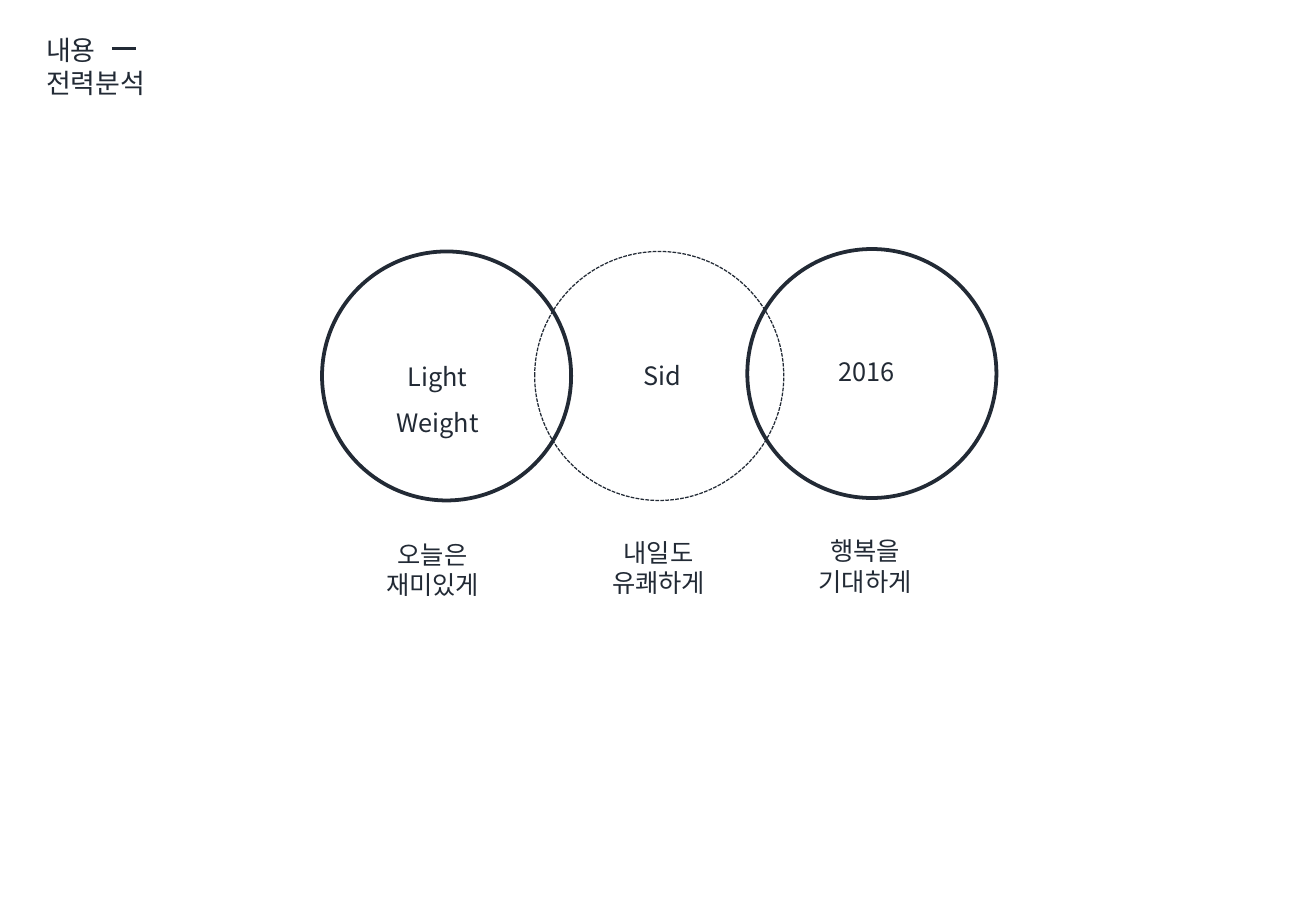
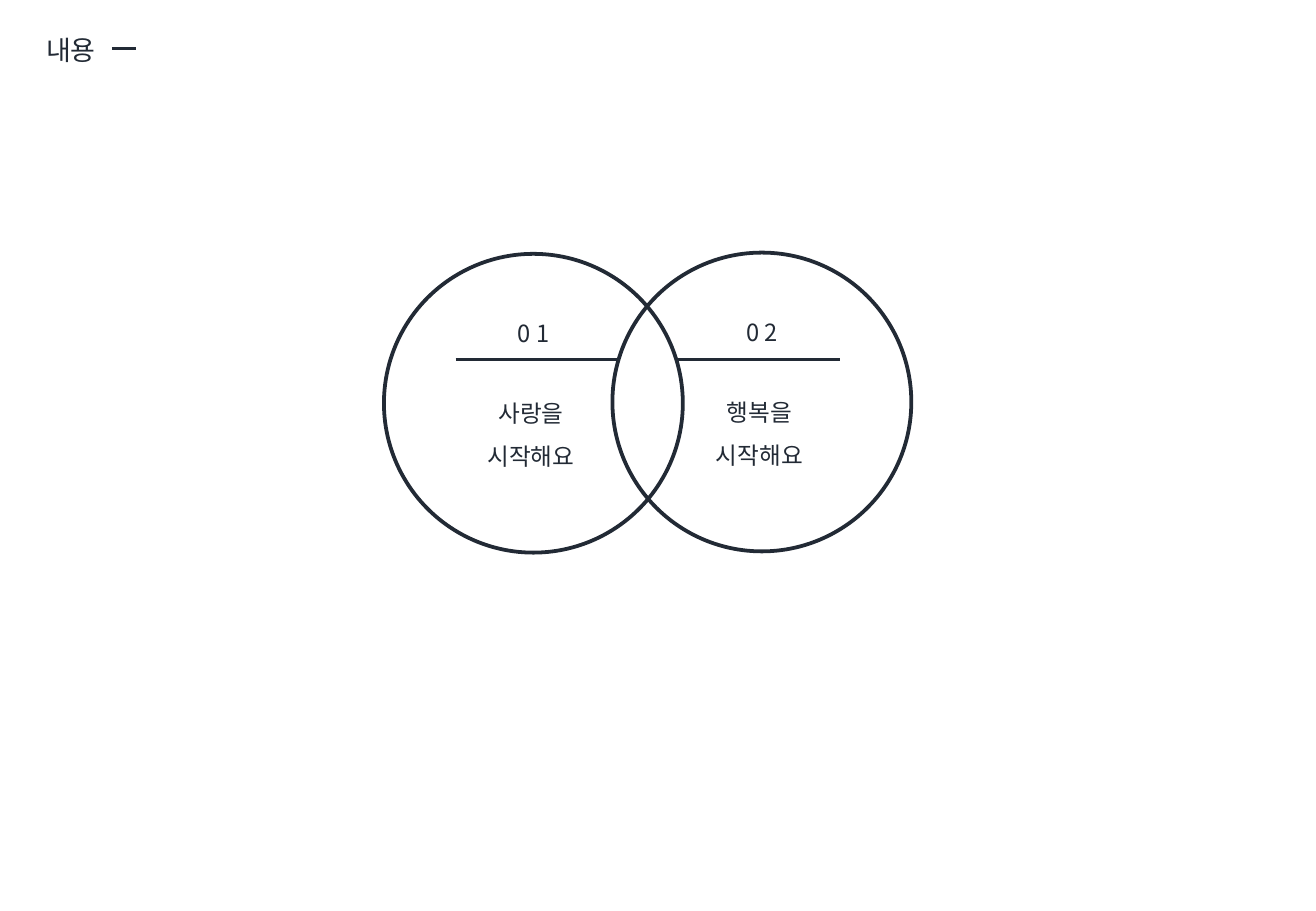
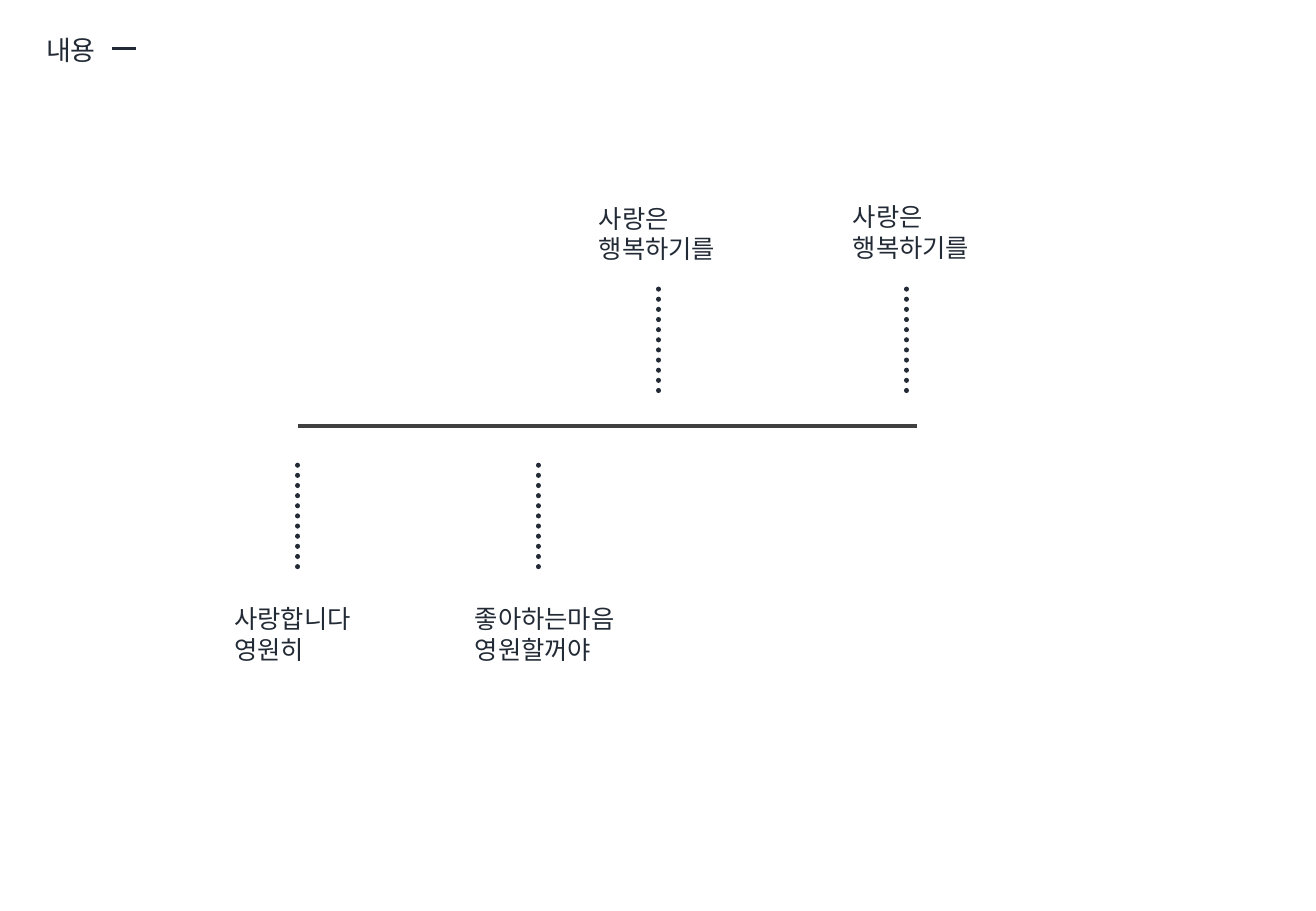
"""Build three diagram slides: linked circles, a two-part overlap and a timeline."""
import dataclasses

import pptx
import pptx.dml.color
import pptx.enum.dml
import pptx.enum.shapes
import pptx.enum.text
import pptx.oxml.ns
import pptx.util
from pptx.util import Inches

ALIGN = pptx.enum.text.PP_ALIGN
DASH = pptx.enum.dml.MSO_LINE
qn = pptx.oxml.ns.qn


@dataclasses.dataclass(frozen=True)
class Theme:
    ink: str = "222A35"
    axis: str = "404040"
    font: str = "Noto Sans CJK KR"
    title: int = 16
    body: int = 15
    step: int = 14
    thin: float = 0.75
    rule: float = 1.5
    bold: float = 2.25
    dots: float = 3


THEME = Theme()

LINKED = {
    "title": ["내용", "전력분석"],
    "circles": [
        {"top": 2.07, "width": THEME.bold, "dash": None},
        {"top": 2.07, "width": THEME.thin, "dash": DASH.SQUARE_DOT},
        {"top": 2.05, "width": THEME.bold, "dash": None},
    ],
    "labels": [
        (["Light", "Weight"], 2.76, 2.8, 0.86),
        (["Sid"], 4.61, 2.79, 0.42),
        (["2016"], 6.29, 2.76, 0.48),
    ],
    "captions": [
        (["오늘은", "재미있게"], 2.72, 4.39),
        (["내일도", "유쾌하게"], 4.58, 4.37),
        (["행복을", "기대하게"], 6.28, 4.36),
    ],
}
OVERLAP = {
    "title": ["내용"],
    "steps": [
        ("0 1", ["사랑을", "시작해요"], 3.75),
        ("0 2", ["행복을", "시작해요"], 5.58),
    ],
}
TIMELINE = {
    "title": ["내용"],
    "events": [
        (["사랑합니다", "영원히"], 2.45, 3.83, 1.83, 4.92),
        (["좋아하는마음", "영원할꺼야"], 4.43, 3.83, 3.81, 4.92),
        (["사랑은", "행복하기를"], 5.42, 2.38, 4.83, 1.62),
        (["사랑은", "행복하기를"], 7.46, 2.38, 6.92, 1.61),
    ],
}


def write(frame, lines, *, size=THEME.body, align=ALIGN.LEFT, spacing=1.0):
    frame.word_wrap = True
    frame.auto_size = pptx.enum.text.MSO_AUTO_SIZE.NONE
    frame.vertical_anchor = pptx.enum.text.MSO_ANCHOR.TOP
    for index, line in enumerate(lines):
        paragraph = frame.add_paragraph() if index else frame.paragraphs[0]
        paragraph.alignment = align
        paragraph.line_spacing = spacing
        run = paragraph.add_run()
        run.text = line
        run.font.size = pptx.util.Pt(size)
        run.font.name = THEME.font
        run.font.color.rgb = pptx.dml.color.RGBColor.from_string(THEME.ink)
        east_asian = run.font._element.makeelement(qn("a:ea"), {"typeface": THEME.font})
        run.font._element.find(qn("a:latin")).addnext(east_asian)


def add_text(slide, lines, left, top, width, height, **style):
    box = slide.shapes.add_textbox(*map(Inches, (left, top, width, height)))
    write(box.text_frame, lines, **style)


def stroke(line, width, dash=None, color=THEME.ink):
    line.color.rgb = pptx.dml.color.RGBColor.from_string(color)
    line.width = pptx.util.Pt(width)
    if dash is not None:
        line.dash_style = dash


def add_line(slide, start, end, width, *, dash=None, color=THEME.ink):
    straight = pptx.enum.shapes.MSO_CONNECTOR.STRAIGHT
    connector = slide.shapes.add_connector(straight, *map(Inches, (*start, *end)))
    stroke(connector.line, width, dash, color)
    properties = connector._element.spPr
    if dash == DASH.ROUND_DOT:
        properties.find(qn("a:ln")).set("cap", "rnd")
    properties.append(properties.makeelement(qn("a:effectLst"), {}))


def add_circle(slide, left, top, diameter, width, dash=None):
    oval = pptx.enum.shapes.MSO_SHAPE.OVAL
    circle = slide.shapes.add_shape(oval, *map(Inches, (left, top, diameter, diameter)))
    circle.shadow.inherit = False
    circle.fill.background()
    stroke(circle.line, width, dash)


def add_slide(deck, title):
    slide = deck.slides.add_slide(deck.slide_layouts[5])
    heading = slide.shapes.title
    heading.left, heading.top = Inches(0.28), Inches(0.23)
    heading.width = Inches(1.51)
    heading.height = Inches(0.1 + 0.27 * len(title))
    write(heading.text_frame, title, size=THEME.title)
    add_line(slide, (0.92, 0.4), (1.12, 0.4), THEME.bold)
    return slide


def build_linked(deck):
    slide = add_slide(deck, LINKED["title"])
    for index, circle in enumerate(LINKED["circles"]):
        add_circle(slide, 2.65 + 1.75 * index, circle["top"], 2.05, circle["width"], circle["dash"])
    for lines, left, top, height in LINKED["labels"]:
        add_text(slide, lines, left, top, 1.68, height, align=ALIGN.CENTER, spacing=1.5)
    for lines, left, top in LINKED["captions"]:
        add_text(slide, lines, left, top, 1.68, 0.61, align=ALIGN.CENTER)


def build_overlap(deck):
    slide = add_slide(deck, OVERLAP["title"])
    style = {"size": THEME.step, "align": ALIGN.CENTER, "spacing": 1.5}
    for index, (number, lines, rule_left) in enumerate(OVERLAP["steps"]):
        across, rise = 1.88 * index, 0.01 * index
        add_text(slide, [number], 2.83 + across, 2.46 - rise, 3.12, 0.45, **style)
        add_circle(slide, 3.16 + across, 2.09 - rise, 2.46, THEME.bold)
        add_line(slide, (rule_left, 2.96), (rule_left + 1.33, 2.96), THEME.rule)
        add_text(slide, lines, 2.81 + across, 3.12 - rise, 3.12, 0.81, **style)


def build_timeline(deck):
    slide = add_slide(deck, TIMELINE["title"])
    for lines, x, top, text_left, text_top in TIMELINE["events"]:
        add_line(slide, (x, top), (x, top + 0.9), THEME.dots, dash=DASH.ROUND_DOT)
        add_text(slide, lines, text_left, text_top, 2.85, 0.61)
    add_line(slide, (2.45, 3.51), (7.55, 3.51), THEME.bold, color=THEME.axis)


def main():
    deck = pptx.Presentation()
    deck.slide_width, deck.slide_height = Inches(10.83), Inches(7.5)
    for build in (build_linked, build_overlap, build_timeline):
        build(deck)
    deck.save("out.pptx")


if __name__ == "__main__":
    main()
